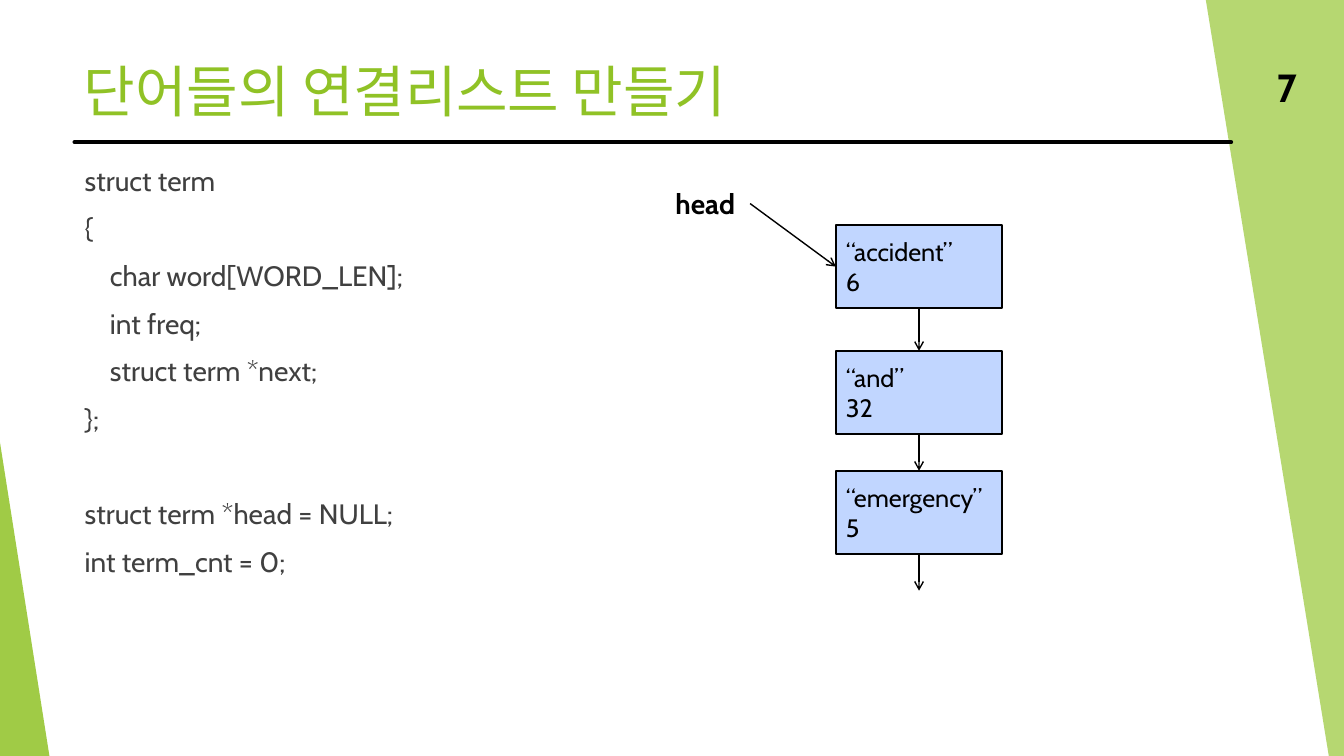
"""Builds the slide on making a linked list of words."""
from dataclasses import dataclass

from lxml import etree
from pptx import Presentation
from pptx import util as u
from pptx.dml.color import RGBColor
from pptx.enum import shapes, text
from pptx.oxml.ns import qn


@dataclass(frozen=True)
class Theme:
    font: str = "Cabin"
    green: str = "90C226"
    blue: str = "6699FF"
    gray: str = "404040"
    black: str = "000000"
    title: int = 40
    page: int = 28
    code: int = 20
    node: int = 18


theme = Theme()


def write(shape, words, size, color, bold=False, anchor=text.MSO_ANCHOR.MIDDLE,
          align=text.PP_ALIGN.LEFT, wrap=True):
    frame = shape.text_frame
    frame.text = words
    frame.word_wrap = wrap
    frame.auto_size = text.MSO_AUTO_SIZE.NONE
    frame.vertical_anchor = anchor
    for para in frame.paragraphs:
        para.alignment = align
        for run in para.runs:
            run.font.name = theme.font
            run.font.size = u.Pt(size)
            run.font.bold = bold
            run.font.color.rgb = RGBColor.from_string(color)


def paint(shape, color, alpha):
    shape.shadow.inherit = False
    shape.fill.solid()
    shape.fill.fore_color.rgb = RGBColor.from_string(color)
    tint = shape.fill._xPr.find(qn("a:solidFill"))[0]
    etree.SubElement(tint, qn("a:alpha")).set("val", str(alpha * 1000))
    shape.line.fill.background()


deck = Presentation()
deck.slide_width = u.Inches(13.33)
deck.slide_height = u.Inches(7.5)
slide = deck.slides.add_slide(deck.slide_layouts[1])
items = slide.shapes

pen = items.build_freeform(u.Inches(11.96), 0)
pen.add_line_segments([(u.Inches(x), u.Inches(y)) for x, y in
                       ((13.33, 0), (13.33, 7.5), (13.18, 7.5))])
paint(pen.convert_to_shape(), theme.green, 65)

wedge = items.add_shape(shapes.MSO_SHAPE.ISOSCELES_TRIANGLE, 0, u.Inches(4.39),
                        u.Inches(0.49), u.Inches(3.11))
wedge.adjustments[0] = 0
paint(wedge, theme.green, 85)

title, body = slide.placeholders
title.left, title.top = u.Inches(0.73), u.Inches(0.49)
title.width, title.height = u.Inches(11.11), u.Inches(0.8)
write(title, "단어들의 연결리스트 만들기", theme.title, theme.green)

code = """struct term
{
    char word[WORD_LEN];
    int freq;
    struct term *next;
};
struct term *head = NULL;
int term_cnt = 0;"""
body.left, body.top = u.Inches(0.74), u.Inches(1.57)
body.width, body.height = u.Inches(5.73), u.Inches(5.04)
write(body, code, theme.code, theme.gray, anchor=text.MSO_ANCHOR.TOP)
gaps = [0, 10, 10, 10, 10, 10, 44, 10]
for para, gap in zip(body.text_frame.paragraphs, gaps):
    para.space_before = u.Pt(gap)
    props = para._p.get_or_add_pPr()
    props.set("marL", "0")
    props.set("indent", "0")
    etree.SubElement(props, qn("a:buNone"))

label = items.add_textbox(u.Inches(6.6), u.Inches(1.8), u.Inches(0.84), u.Inches(0.44))
write(label, "head", theme.code, theme.black, bold=True,
      anchor=text.MSO_ANCHOR.TOP, wrap=False)

left, wide, high = 8.29, 1.65, 0.83
mid = left + wide / 2
tops = [2.23, 3.48, 4.67]
nodes = ["“accident”\n6", "“and”\n32", "“emergency”\n5"]
for top, words in zip(tops, nodes):
    node = items.add_shape(shapes.MSO_SHAPE.RECTANGLE, u.Inches(left), u.Inches(top),
                           u.Inches(wide), u.Inches(high))
    paint(node, theme.blue, 40)
    node.line.color.rgb = RGBColor.from_string(theme.black)
    node.line.width = u.Pt(1.5)
    write(node, words, theme.node, theme.black)

rule = (0.74, 1.41, 12.21, 1.41)
links = [(7.44, 2.02, left, tops[0] + high / 2)]
links += [(mid, top + high, mid, end) for top, end in zip(tops, tops[1:] + [5.86])]
for ends in [rule] + links:
    line = items.add_connector(shapes.MSO_CONNECTOR.STRAIGHT, *map(u.Inches, ends))
    line.line.color.rgb = RGBColor.from_string(theme.black)
    line.line.width = u.Pt(3 if ends == rule else 1)
    stroke = line.line._get_or_add_ln()
    if ends == rule:
        stroke.set("cap", "rnd")
    else:
        etree.SubElement(stroke, qn("a:tailEnd")).set("type", "arrow")
    etree.SubElement(line._element.spPr, qn("a:effectLst"))

page = items.add_textbox(u.Inches(12.21), u.Inches(0.66), u.Inches(0.75), u.Inches(0.4))
write(page, "7", theme.page, theme.black, bold=True, align=text.PP_ALIGN.RIGHT)

deck.save("out.pptx")
